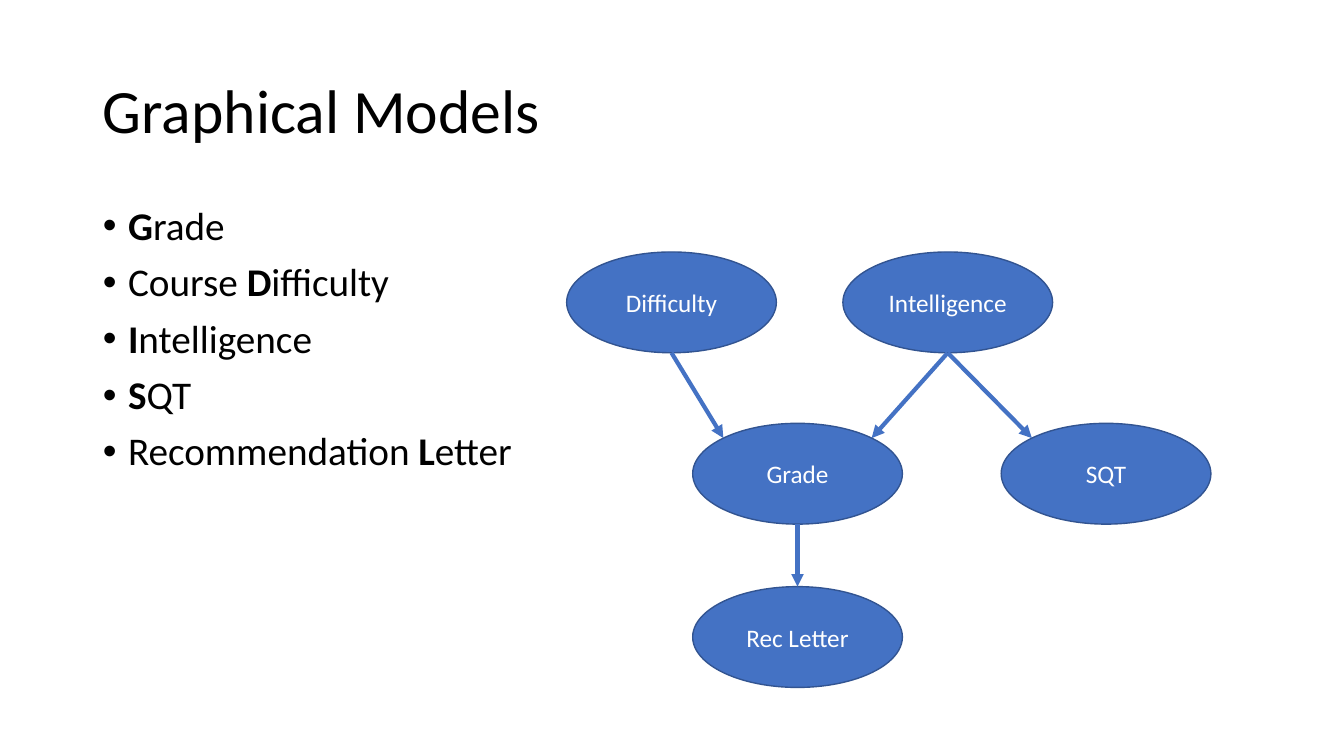
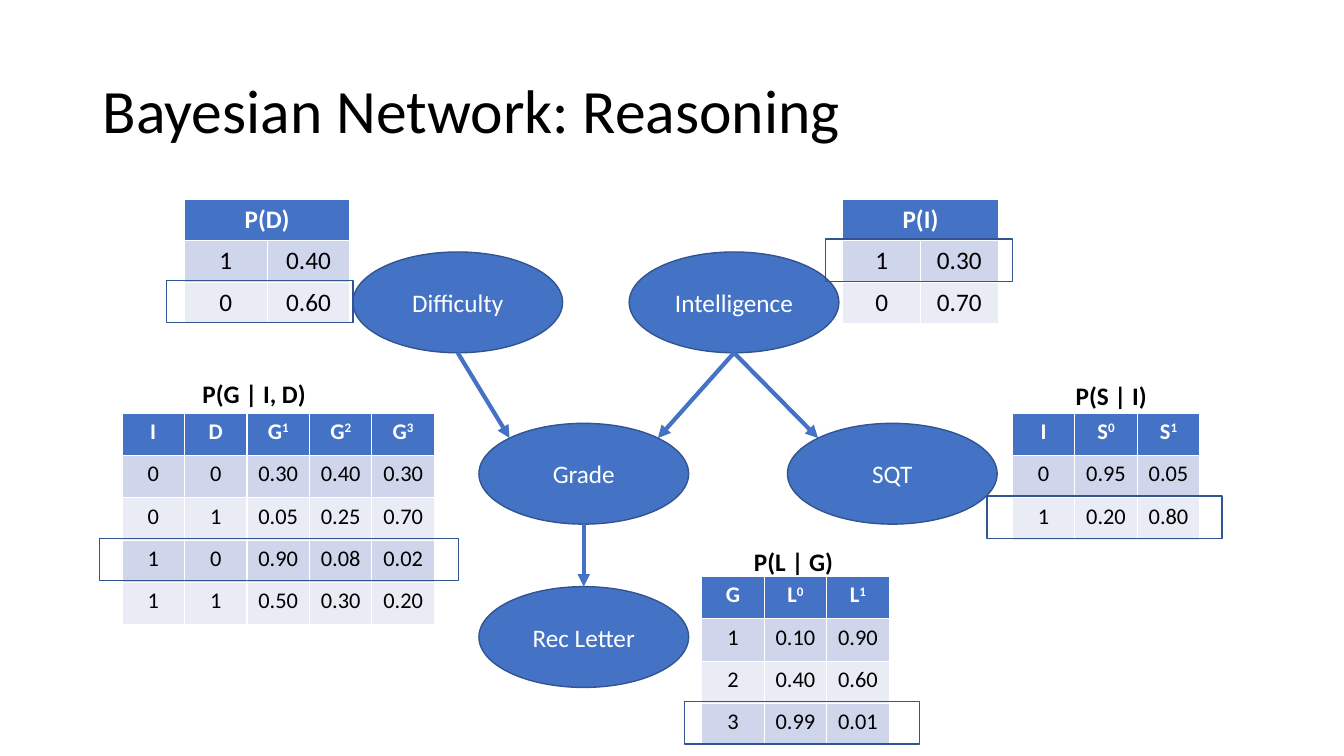
from dataclasses import dataclass

from lxml import etree
from pptx import Presentation
from pptx.dml.color import RGBColor
from pptx.enum.shapes import MSO_CONNECTOR, MSO_SHAPE
from pptx.enum.text import MSO_ANCHOR, MSO_AUTO_SIZE, PP_ALIGN
from pptx.oxml.ns import qn
from pptx.util import Inches, Pt

STRAIGHT = MSO_CONNECTOR.STRAIGHT
ELLIPSE, RECTANGLE = MSO_SHAPE.OVAL, MSO_SHAPE.RECTANGLE
MIDDLE = MSO_ANCHOR.MIDDLE
NO_AUTOFIT = MSO_AUTO_SIZE.NONE
LEFT, CENTER = PP_ALIGN.LEFT, PP_ALIGN.CENTER

# Shared style
FONT = "Calibri"
BLUE, OUTLINE = "4472C4", "325491"
BLACK, WHITE = "000000", "FFFFFF"
BANDS = ["CFD5EA", "E9EBF5"]
TITLE_LAYOUT, BODY_LAYOUT = 5, 1

# Network: node positions relative to its top-left corner
NODE_W, NODE_H = 2.08, 1.0
NODES = {
    "Difficulty": (0, 0),
    "Intelligence": (2.74, 0),
    "Grade": (1.25, 1.7),
    "SQT": (4.31, 1.7),
    "Rec Letter": (1.25, 3.32),
}
# Ellipse connection sites: index and position as a share of the node box
DIAGONAL = 0.5 ** 0.5 / 2
SITES = {
    "top": (0, 0.5, 0),
    "top left": (1, 0.5 - DIAGONAL, 0.5 - DIAGONAL),
    "bottom": (4, 0.5, 1),
    "top right": (7, 0.5 + DIAGONAL, 0.5 - DIAGONAL),
}
EDGES = [
    ("Difficulty", "Grade", "top left"),
    ("Intelligence", "Grade", "top right"),
    ("Intelligence", "SQT", "top left"),
    ("Grade", "Rec Letter", "top"),
]


@dataclass
class Distribution:
    """A probability table, with its caption and observed row."""
    left: float
    top: float
    col_w: float
    row_h: float
    size: int
    header: list
    rows: list
    observed: int
    overhang: float
    observed_w: float
    caption: str = ""
    caption_dx: float = 0
    caption_dy: float = 0


DISTRIBUTIONS = [
    Distribution(1.83, 1.98, 0.82, 0.41, 18, ["P(D)"],
                 [("1", "0.40"), ("0", "0.60")], 2, 0.18, 1.85),
    Distribution(8.36, 1.98, 0.77, 0.41, 18, ["P(I)"],
                 [("1", "0.30"), ("0", "0.70")], 1, 0.17, 1.85),
    Distribution(1.21, 4.1, 0.62, 0.42, 16, ["I", "D", "G^1", "G^2", "G^3"],
                 [("0", "0", "0.30", "0.40", "0.30"),
                  ("0", "1", "0.05", "0.25", "0.70"),
                  ("1", "0", "0.90", "0.08", "0.02"),
                  ("1", "1", "0.50", "0.30", "0.20")],
                 3, 0.22, 3.56, "P(G | I, D)", 0.7, -0.4),
    Distribution(10.04, 4.1, 0.62, 0.42, 16, ["I", "S^0", "S^1"],
                 [("0", "0.95", "0.05"), ("1", "0.20", "0.80")],
                 2, 0.25, 2.33, "P(S | I)", 0.53, -0.38),
    Distribution(6.96, 5.72, 0.62, 0.42, 16, ["G", "L^0", "L^1"],
                 [("1", "0.10", "0.90"), ("2", "0.40", "0.60"),
                  ("3", "0.99", "0.01")],
                 3, 0.17, 2.33, "P(L | G)", 0.42, -0.35),
]

# Variables: text before, bold initial, text after
VARIABLES = [
    ("", "G", "rade"),
    ("Course ", "D", "ifficulty"),
    ("", "I", "ntelligence"),
    ("", "S", "QT"),
    ("Recommendation ", "L", "etter"),
]


def rgb(color):
    return RGBColor.from_string(color)


def box(left, top, width, height):
    return [Inches(length) for length in (left, top, width, height)]


def style(paragraph, size, color, align=LEFT, bold=None):
    paragraph.alignment = align
    font = paragraph.font
    font.name, font.size, font.bold = FONT, Pt(size), bold
    font.color.rgb = rgb(color)


def place(placeholder, left, top, width, height):
    (placeholder.left, placeholder.top,
     placeholder.width, placeholder.height) = box(left, top, width, height)
    placeholder.text_frame.auto_size = NO_AUTOFIT


def add_titled_slide(prs, layout, text):
    slide = prs.slides.add_slide(prs.slide_layouts[layout])
    title = slide.shapes.title
    place(title, 0.92, 0.4, 11.5, 1.45)
    title.text_frame.vertical_anchor = MIDDLE
    title.text_frame.text = text
    heading = title.text_frame.paragraphs[0]
    style(heading, 44, BLACK)
    heading.line_spacing = 0.9
    return slide


def add_variable_list(body, left, top, width, height):
    place(body, left, top, width, height)
    frame = body.text_frame
    for i, parts in enumerate(VARIABLES):
        item = frame.add_paragraph() if i else frame.paragraphs[0]
        style(item, 28, BLACK)
        item.line_spacing, item.space_before = 0.9, Pt(10)
        # Hanging bullet
        properties = item._p.get_or_add_pPr()
        properties.set("marL", str(Inches(0.25)))
        properties.set("indent", str(-Inches(0.25)))
        etree.SubElement(properties, qn("a:buChar")).set("char", "•")
        # The list style goes last in the schema order
        for defaults in properties.findall(qn("a:defRPr")):
            properties.append(defaults)
        for part, bold in zip(parts, (False, True, False)):
            if part:
                run = item.add_run()
                run.text, run.font.bold = part, bold


def add_node(slide, name, left, top):
    node = slide.shapes.add_shape(ELLIPSE, *box(left, top, NODE_W, NODE_H))
    node.shadow.inherit = False
    node.fill.solid()
    node.fill.fore_color.rgb = rgb(BLUE)
    node.line.color.rgb, node.line.width = rgb(OUTLINE), Pt(1)
    node.text_frame.vertical_anchor = MIDDLE
    node.text_frame.text = name
    style(node.text_frame.paragraphs[0], 18, WHITE, CENTER)
    return node


def site_point(node, site):
    _, across, down = SITES[site]
    return (round(node.left + across * node.width),
            round(node.top + down * node.height))


def add_edge(slide, cause, effect, effect_site):
    ends = [("stCxn", cause, "bottom"), ("endCxn", effect, effect_site)]
    points = [site_point(node, site) for _, node, site in ends]
    edge = slide.shapes.add_connector(STRAIGHT, *points[0], *points[1])
    edge.line.color.rgb, edge.line.width = rgb(BLUE), Pt(3)
    # Arrowhead and no shadow
    line = edge.line._get_or_add_ln()
    etree.SubElement(line, qn("a:tailEnd")).set("type", "triangle")
    etree.SubElement(edge.element.spPr, qn("a:effectLst"))
    # Glue to the ellipse sites, which go beyond the four sides
    joints = edge.element.nvCxnSpPr.cNvCxnSpPr
    for tag, node, site in ends:
        joint = etree.SubElement(joints, qn("a:" + tag))
        joint.set("id", str(node.shape_id))
        joint.set("idx", str(SITES[site][0]))


def add_network(slide, left, top):
    nodes = {name: add_node(slide, name, left + dx, top + dy)
             for name, (dx, dy) in NODES.items()}
    for cause, effect, site in EDGES:
        add_edge(slide, nodes[cause], nodes[effect], site)


def fill_cell(cell, text, size, fill, color, bold):
    cell.fill.solid()
    cell.fill.fore_color.rgb = rgb(fill)
    paragraph = cell.text_frame.paragraphs[0]
    style(paragraph, size, color, CENTER, bold)
    base, _, power = text.partition("^")
    for part, baseline in ((base, 0), (power, 30000)):
        if part:
            run = paragraph.add_run()
            run.text = part
            # Table text takes its look from the runs
            run.font.name, run.font.size, run.font.bold = FONT, Pt(size), bold
            run.font.color.rgb = rgb(color)
            if baseline:
                run._r.get_or_add_rPr().set("baseline", str(baseline))


def add_distribution(slide, dist):
    lines, columns = len(dist.rows) + 1, len(dist.rows[0])
    table = slide.shapes.add_table(lines, columns, *box(
        dist.left, dist.top, columns * dist.col_w, lines * dist.row_h)).table
    for column in table.columns:
        column.width = Inches(dist.col_w)
    for row in table.rows:
        row.height = Inches(dist.row_h)
    # A single heading spans all columns
    if len(dist.header) < columns:
        table.cell(0, 0).merge(table.cell(0, columns - 1))
    for c, heading in enumerate(dist.header):
        fill_cell(table.cell(0, c), heading, dist.size, BLUE, WHITE, True)
    for r, values in enumerate(dist.rows):
        for c, value in enumerate(values):
            fill_cell(table.cell(r + 1, c), value, dist.size,
                      BANDS[r % 2], BLACK, False)
    if dist.caption:
        caption = slide.shapes.add_textbox(*box(
            dist.left + dist.caption_dx, dist.top + dist.caption_dy, 1.24, 0.4))
        caption.text_frame.word_wrap = False
        caption.text_frame.text = dist.caption
        style(caption.text_frame.paragraphs[0], 18, BLACK, LEFT, True)


def add_observation(slide, dist):
    frame = slide.shapes.add_shape(RECTANGLE, *box(
        dist.left - dist.overhang,
        dist.top + dist.observed * dist.row_h - 0.02,
        dist.observed_w, 0.42))
    frame.shadow.inherit = False
    frame.fill.background()
    frame.line.color.rgb, frame.line.width = rgb(OUTLINE), Pt(1)


def build_models_slide(prs):
    slide = add_titled_slide(prs, BODY_LAYOUT, "Graphical Models")
    add_variable_list(slide.placeholders[1], 0.92, 2, 11.5, 4.76)
    add_network(slide, 5.62, 2.5)


def build_reasoning_slide(prs):
    slide = add_titled_slide(prs, TITLE_LAYOUT, "Bayesian Network: Reasoning")
    for dist in DISTRIBUTIONS:
        add_distribution(slide, dist)
    add_network(slide, 3.5, 2.5)
    # Observed rows lie above tables and nodes
    for dist in DISTRIBUTIONS:
        add_observation(slide, dist)


def main():
    prs = Presentation()
    prs.slide_width, prs.slide_height = Inches(13.33), Inches(7.5)
    build_models_slide(prs)
    build_reasoning_slide(prs)
    prs.save("out.pptx")


if __name__ == "__main__":
    main()
